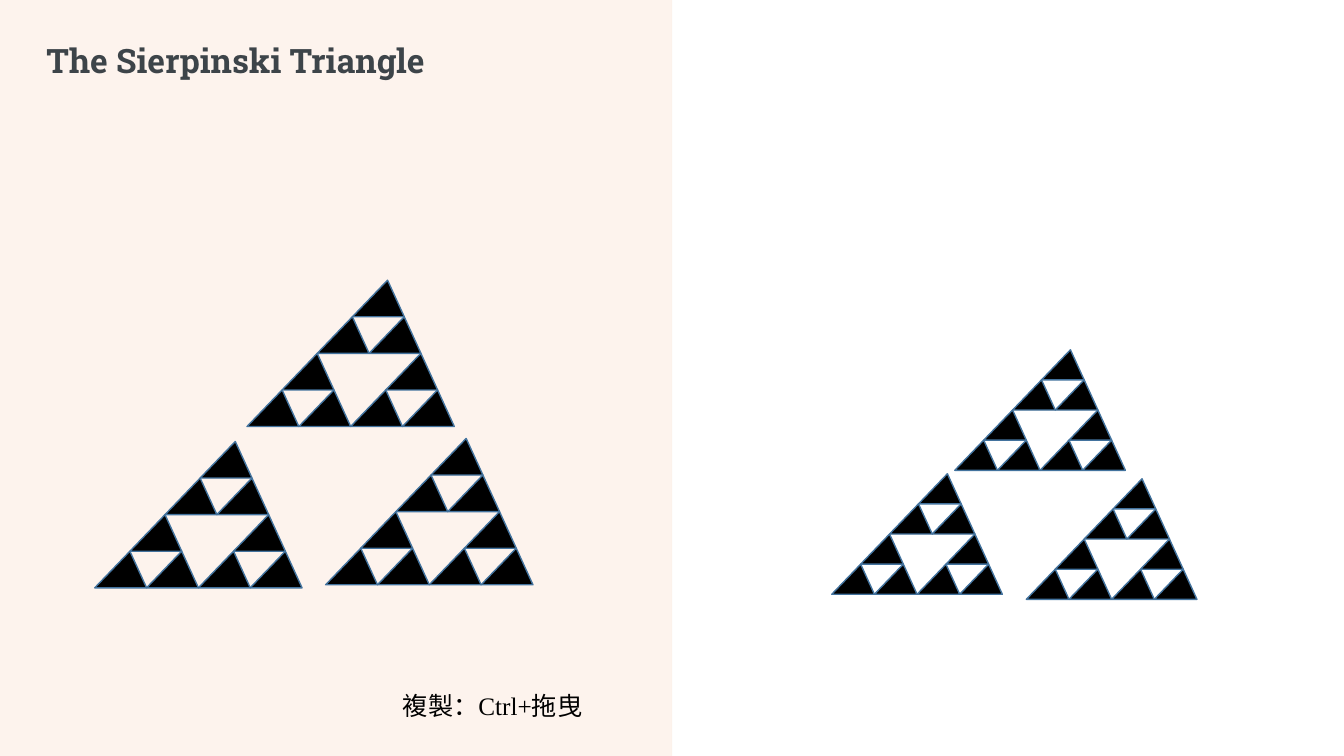
"""Build a slide with two Sierpinski triangles, each made of three grouped parts."""
from lxml import etree
from pptx import Presentation
from pptx.dml.color import RGBColor
from pptx.enum.shapes import MSO_CONNECTOR, MSO_SHAPE
from pptx.enum.text import MSO_ANCHOR, MSO_AUTO_SIZE, PP_ALIGN
from pptx.oxml.ns import qn
from pptx.util import Inches, Pt

RECTANGLE = MSO_SHAPE.RECTANGLE
TRIANGLE = MSO_SHAPE.ISOSCELES_TRIANGLE
STRAIGHT = MSO_CONNECTOR.STRAIGHT
MIDDLE = MSO_ANCHOR.MIDDLE
LEFT, CENTER = PP_ALIGN.LEFT, PP_ALIGN.CENTER
NO_AUTOFIT = MSO_AUTO_SIZE.NONE

TITLE = "The Sierpinski Triangle"
HINT = "複製：Ctrl+拖曳"
COLORS = {
    "panel": "F4B183",
    "divider": "FBE5D6",
    "title": "3D4449",
    "black": "000000",
    "outline": "43739E",
}
SLIDE_WIDTH, SLIDE_HEIGHT = 13.33, 7.5
HALF_WIDTH = SLIDE_WIDTH / 2
APEX = 0.678
CORNERS = [(0, 1), (APEX, 0), (1, 1)]
FIGURES = [
    {"cell": (0.514, 0.363), "origins": [(0.94, 4.38), (2.45, 2.78), (3.23, 4.35)]},
    {"cell": (0.423, 0.299), "origins": [(8.25, 4.7), (9.47, 3.47), (10.18, 4.75)]},
]


def color(name):
    return RGBColor.from_string(COLORS[name])


def set_opacity(shape, percent):
    color_node = next(shape.element.spPr.iter(qn("a:srgbClr")))
    etree.SubElement(color_node, qn("a:alpha"), val=str(percent * 1000))


def add_background(slide):
    panel = slide.shapes.add_shape(RECTANGLE, 0, 0, Inches(HALF_WIDTH), Inches(SLIDE_HEIGHT))
    panel.shadow.inherit = False
    panel.fill.solid()
    panel.fill.fore_color.rgb = color("panel")
    panel.line.fill.background()
    set_opacity(panel, 14)

    divider = slide.shapes.add_connector(
        STRAIGHT, Inches(HALF_WIDTH), Inches(SLIDE_HEIGHT), Inches(HALF_WIDTH), 0
    )
    divider.line.color.rgb = color("divider")
    divider.line.width = Pt(0.25)
    set_opacity(divider, 50)
    etree.SubElement(divider.element.spPr, qn("a:effectLst"))


def write_text(shape, box, text, font_name, size, color_name, alignment):
    shape.left, shape.top, shape.width, shape.height = (Inches(length) for length in box)
    frame = shape.text_frame
    frame.text = text
    frame.word_wrap = True
    frame.auto_size = NO_AUTOFIT
    frame.vertical_anchor = MIDDLE
    paragraph = frame.paragraphs[0]
    paragraph.alignment = alignment
    paragraph.font.name = font_name
    paragraph.font.size = Pt(size)
    paragraph.font.color.rgb = color(color_name)
    return paragraph


def add_part(slide, origin, cell):
    left, top = origin
    width, height = cell
    group = slide.shapes.add_group_shape()
    for outer_x, outer_y in CORNERS:
        for inner_x, inner_y in CORNERS:
            triangle = group.shapes.add_shape(
                TRIANGLE,
                Inches(left + width * (2 * outer_x + inner_x)),
                Inches(top + height * (2 * outer_y + inner_y)),
                Inches(width),
                Inches(height),
            )
            triangle.adjustments[0] = APEX
            triangle.shadow.inherit = False
            triangle.fill.solid()
            triangle.fill.fore_color.rgb = color("black")
            triangle.line.color.rgb = color("outline")
            triangle.line.width = Pt(1)


def main():
    presentation = Presentation()
    presentation.slide_width = Inches(SLIDE_WIDTH)
    presentation.slide_height = Inches(SLIDE_HEIGHT)
    slide = presentation.slides.add_slide(presentation.slide_layouts[5])

    add_background(slide)
    title = slide.shapes.title
    title.element.getparent().append(title.element)
    heading = write_text(
        title, (0.36, 0.4, 5.95, 0.44), TITLE, "Roboto Slab", 24, "title", LEFT
    )
    heading.font.bold = True
    heading.line_spacing = 0.9

    for figure in FIGURES:
        for origin in figure["origins"]:
            add_part(slide, origin, figure["cell"])

    hint = slide.shapes.add_textbox(0, 0, 0, 0)
    write_text(hint, (3.59, 6.8, 2.59, 0.39), HINT, "Times New Roman", 18, "black", CENTER)
    presentation.save("out.pptx")


if __name__ == "__main__":
    main()
